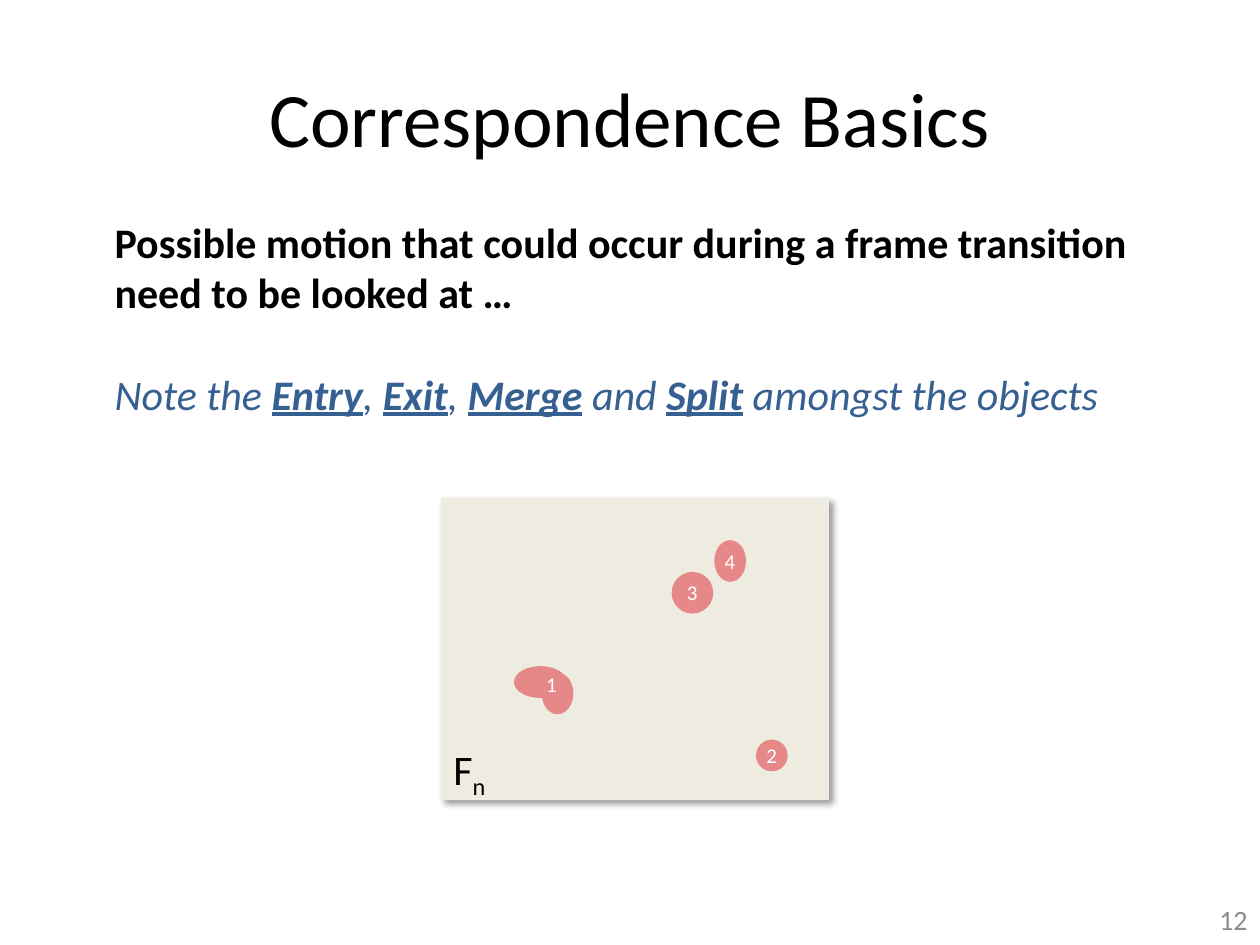
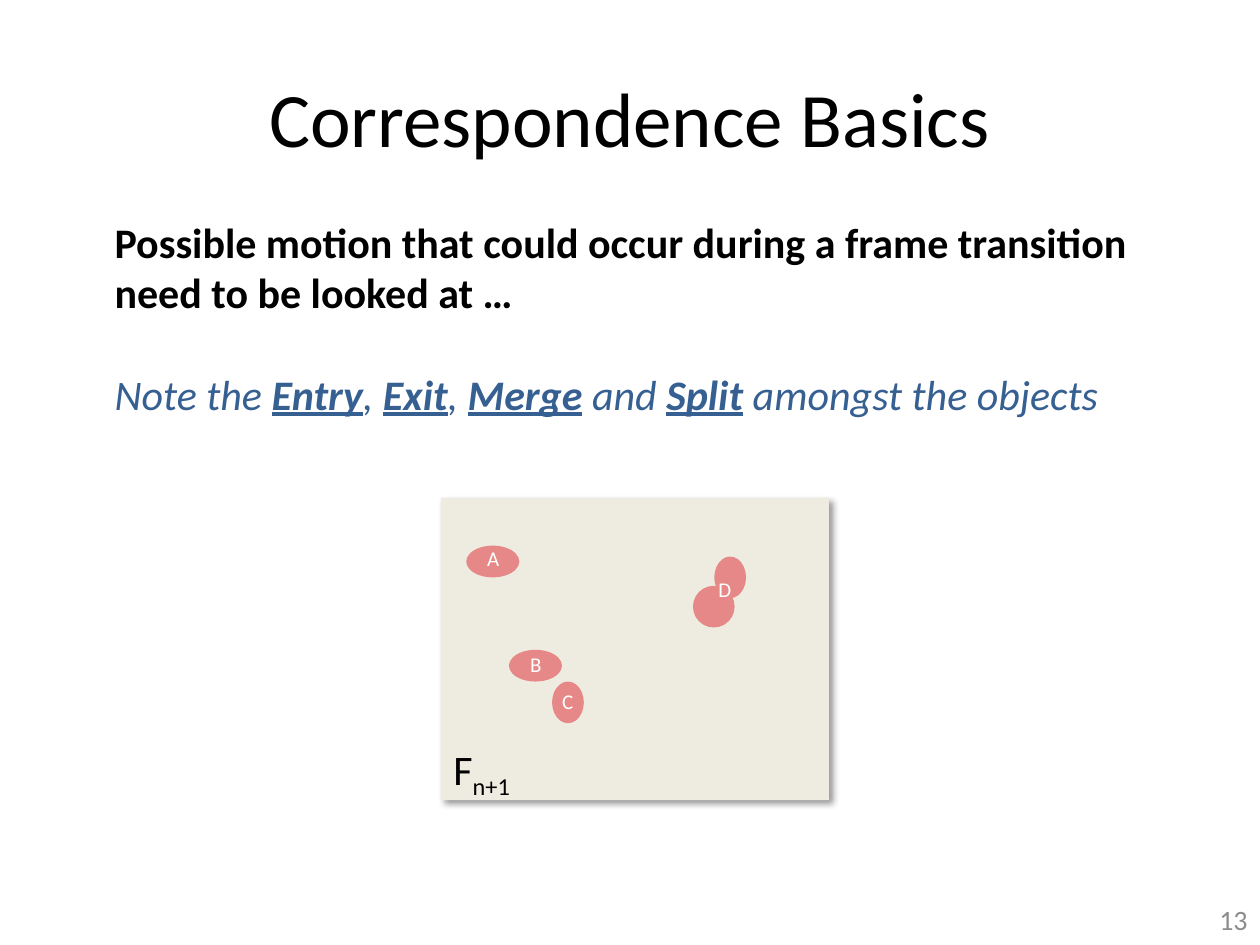
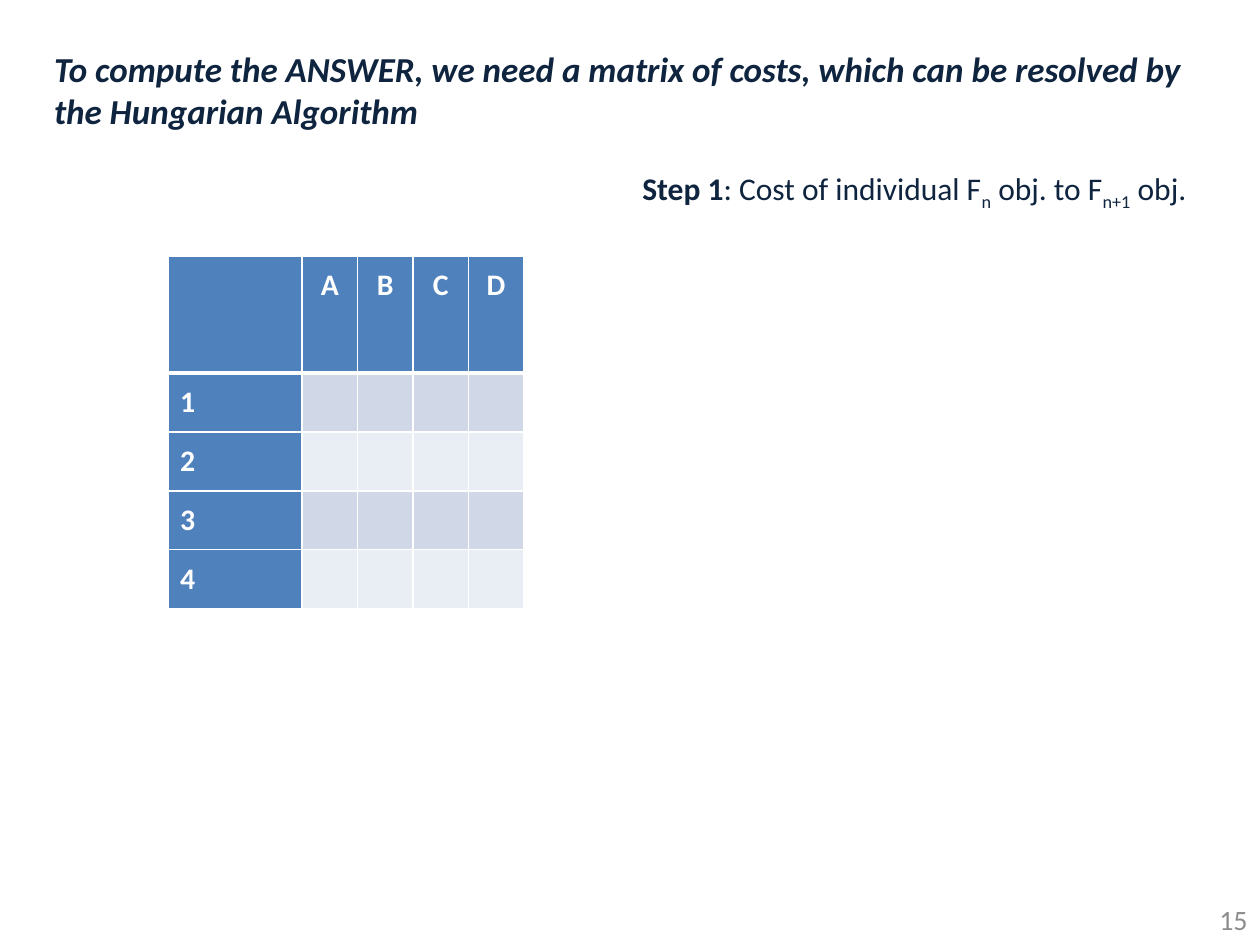
import pptx
import pptx.util
import pptx.dml.color
import pptx.enum.shapes
import pptx.enum.text
import pptx.oxml
import pptx.oxml.ns

Cm = pptx.util.Cm
Pt = pptx.util.Pt
RGBColor = pptx.dml.color.RGBColor
ALIGN = pptx.enum.text.PP_ALIGN
ANCHOR = pptx.enum.text.MSO_ANCHOR
SHAPE = pptx.enum.shapes.MSO_SHAPE
NS = pptx.oxml.ns.nsdecls("a")

FONT = "Calibri"
BLACK = RGBColor(0x00, 0x00, 0x00)
WHITE = RGBColor(0xFF, 0xFF, 0xFF)
GRAY = RGBColor(0x8C, 0x8C, 0x8C)
NAVY = RGBColor(0x0F, 0x24, 0x3E)
NOTE_BLUE = RGBColor(0x37, 0x60, 0x92)
FRAME_FILL = RGBColor(0xEE, 0xEC, 0xE1)
OBJECT_FILL = RGBColor(0xE6, 0x88, 0x88)
HEADER_FILL = RGBColor(0x4F, 0x81, 0xBD)
BAND_FILLS = RGBColor(0xD0, 0xD8, 0xE8), RGBColor(0xE9, 0xED, 0xF4)

TITLE_BOX = 1.27, 0.76, 22.86, 3.18
INTRO_BOX = 2.06, 4.24, 21.29, 4.37
FRAME_BOX = 8.89, 10.03, 7.82, 6.1
NUMBER_BOX = 19.48, 18.03, 5.92, 1.02
HEADING_BOX = 0.84, 0.84, 23.7, 1.96
STEP_BOX = 12.7, 3.28, 12.07, 1.02
TABLE_BOX = 3.4, 5.16, 7.16, 7.11

WIDE, TALL, ROUND, SMALL = (1.07, 0.64), (0.64, 0.84), (0.84, 0.84), (0.64, 0.64)
FRAME_N_OBJECTS = [(6.35, 4.88, SMALL), (2.03, 3.53, TALL), (1.47, 3.4, WIDE),
                   (4.65, 1.5, ROUND), (5.51, 0.86, TALL)]
FRAME_N_LABELS = [("2", 6.45, 4.93), ("1", 2.01, 3.51), ("3", 4.85, 1.65), ("4", 5.61, 1.02)]
NEXT_FRAME_OBJECTS = [(0.51, 0.97, WIDE), (2.24, 3.71, TALL), (1.37, 3.07, WIDE),
                      (5.08, 1.78, ROUND), (5.51, 1.19, TALL)]
NEXT_FRAME_LABELS = [("B", 1.7, 3.1), ("C", 2.34, 3.86), ("A", 0.84, 0.97), ("D", 5.51, 1.6)]


def add_run(p, text, size, color, bold=False, italic=False, underline=False, sub=False):
    r = p.add_run()
    r.text = text
    f = r.font
    f.name, f.size, f.bold, f.italic, f.underline = FONT, Pt(size), bold, italic, underline
    f.color.rgb = color
    if sub:
        r._r.get_or_add_rPr().set("baseline", "-25000")


def add_text_box(s, box, align=ALIGN.LEFT, anchor=ANCHOR.TOP, wrap=True, inset=True):
    tf = s.shapes.add_textbox(*map(Cm, box)).text_frame
    tf.word_wrap = wrap
    tf.vertical_anchor = anchor
    if not inset:
        tf.margin_left = tf.margin_top = tf.margin_right = tf.margin_bottom = 0
    p = tf.paragraphs[0]
    p.alignment = align
    return tf, p


def add_filled(s, kind, box, color):
    sp = s.shapes.add_shape(kind, *map(Cm, box))
    sp.shadow.inherit = False
    sp.fill.solid()
    sp.fill.fore_color.rgb = color
    sp.line.fill.background()
    return sp


def add_drop_shadow(sp):
    effects = sp._element.spPr.find(pptx.oxml.ns.qn("a:effectLst"))
    effects.append(pptx.oxml.parse_xml(
        f'<a:outerShdw {NS} blurRad="{Pt(4)}" dist="{Pt(3)}" dir="2700000" algn="tl" '
        'rotWithShape="0"><a:srgbClr val="000000"><a:alpha val="40000"/></a:srgbClr>'
        '</a:outerShdw>'))


def add_title(s, box, text):
    tf, p = add_text_box(s, box, ALIGN.CENTER, ANCHOR.MIDDLE)
    add_run(p, text, 44, BLACK)


def add_page_number(s, box, number):
    tf, p = add_text_box(s, box, ALIGN.RIGHT, ANCHOR.MIDDLE)
    add_run(p, str(number), 16, GRAY)


def add_intro(s, box):
    tf, p = add_text_box(s, box)
    add_run(p, "Possible motion that could occur during a frame transition "
               "need to be looked at …", 24, BLACK, bold=True)
    p = tf.add_paragraph()
    p.space_before = Pt(29)
    parts = ["Note the ", "Entry", ", ", "Exit", ", ", "Merge", " and ", "Split",
             " amongst the objects"]
    for i, part in enumerate(parts):
        key = i % 2 == 1
        add_run(p, part, 24, NOTE_BLUE, bold=key, italic=True, underline=key)


def add_frame(s, box, index, objects, labels):
    left, top, width, height = box
    add_drop_shadow(add_filled(s, SHAPE.RECTANGLE, box, FRAME_FILL))
    for x, y, size in objects:
        add_filled(s, SHAPE.OVAL, (left + x, top + y, *size), OBJECT_FILL)
    for text, x, y in labels:
        tf, p = add_text_box(s, (left + x, top + y, 0.43, 0.51), ALIGN.CENTER, inset=False)
        add_run(p, text, 12, WHITE)
    tf, p = add_text_box(s, (left, top + height - 1.27, 1.78, 1.27), wrap=False)
    add_run(p, "F", 24, BLACK)
    add_run(p, index, 24, BLACK, sub=True)


def add_heading(s, box):
    tf, p = add_text_box(s, box)
    add_run(p, "To compute the ANSWER, we need a matrix of costs, which can be resolved by "
               "the Hungarian Algorithm", 20, NAVY, bold=True, italic=True)


def add_step(s, box):
    tf, p = add_text_box(s, box)
    add_run(p, "Step 1", 18, NAVY, bold=True)
    parts = [": Cost of individual F", "n", " obj. to F", "n+1", " obj."]
    for i, part in enumerate(parts):
        add_run(p, part, 18, NAVY, sub=i % 2 == 1)


def set_borders(cell, widths):
    tcPr = cell._tc.get_or_add_tcPr()
    for i, (side, width) in enumerate(zip("LRTB", widths)):
        tcPr.insert(i, pptx.oxml.parse_xml(
            f'<a:ln{side} {NS} w="{Pt(width)}"><a:solidFill><a:srgbClr val="{WHITE}"/>'
            f'</a:solidFill></a:ln{side}>'))


def add_cost_matrix(s, box, columns, rows):
    left, top, width, height = box
    tbl = s.shapes.add_table(len(rows) + 1, len(columns) + 1, *map(Cm, box)).table
    first_width, first_height = 2.69, 2.36
    for i, col in enumerate(tbl.columns):
        col.width = Cm((width - first_width) / len(columns) if i else first_width)
    for i, row in enumerate(tbl.rows):
        row.height = Cm((height - first_height) / len(rows) if i else first_height)
    for i in range(len(rows) + 1):
        for j in range(len(columns) + 1):
            cell = tbl.cell(i, j)
            cell.fill.solid()
            cell.fill.fore_color.rgb = BAND_FILLS[(i - 1) % 2] if i and j else HEADER_FILL
            set_borders(cell, (1, 1, 1 if i != 1 else 3, 1 if i else 3))
            if bool(i) == bool(j):
                continue
            cell.margin_left = cell.margin_right = Cm(0.23)
            cell.margin_top = cell.margin_bottom = Cm(0.23)
            cell.vertical_anchor = ANCHOR.MIDDLE if i else ANCHOR.TOP
            p = cell.text_frame.paragraphs[0]
            p.alignment = ALIGN.LEFT if i else ALIGN.CENTER
            add_run(p, rows[i - 1] if i else columns[j - 1], 17, WHITE, bold=True)


def add_slide(prs, number):
    s = prs.slides.add_slide(prs.slide_layouts[6])
    add_page_number(s, NUMBER_BOX, number)
    return s


def add_basics_slide(prs, number, index, objects, labels):
    s = add_slide(prs, number)
    add_title(s, TITLE_BOX, "Correspondence Basics")
    add_intro(s, INTRO_BOX)
    add_frame(s, FRAME_BOX, index, objects, labels)


def add_matrix_slide(prs, number):
    s = add_slide(prs, number)
    add_heading(s, HEADING_BOX)
    add_step(s, STEP_BOX)
    add_cost_matrix(s, TABLE_BOX, "ABCD", "1234")


def main():
    prs = pptx.Presentation()
    prs.slide_width, prs.slide_height = Cm(25.4), Cm(19.05)
    add_basics_slide(prs, 12, "n", FRAME_N_OBJECTS, FRAME_N_LABELS)
    add_basics_slide(prs, 13, "n+1", NEXT_FRAME_OBJECTS, NEXT_FRAME_LABELS)
    add_matrix_slide(prs, 15)
    prs.save("out.pptx")


if __name__ == "__main__":
    main()
